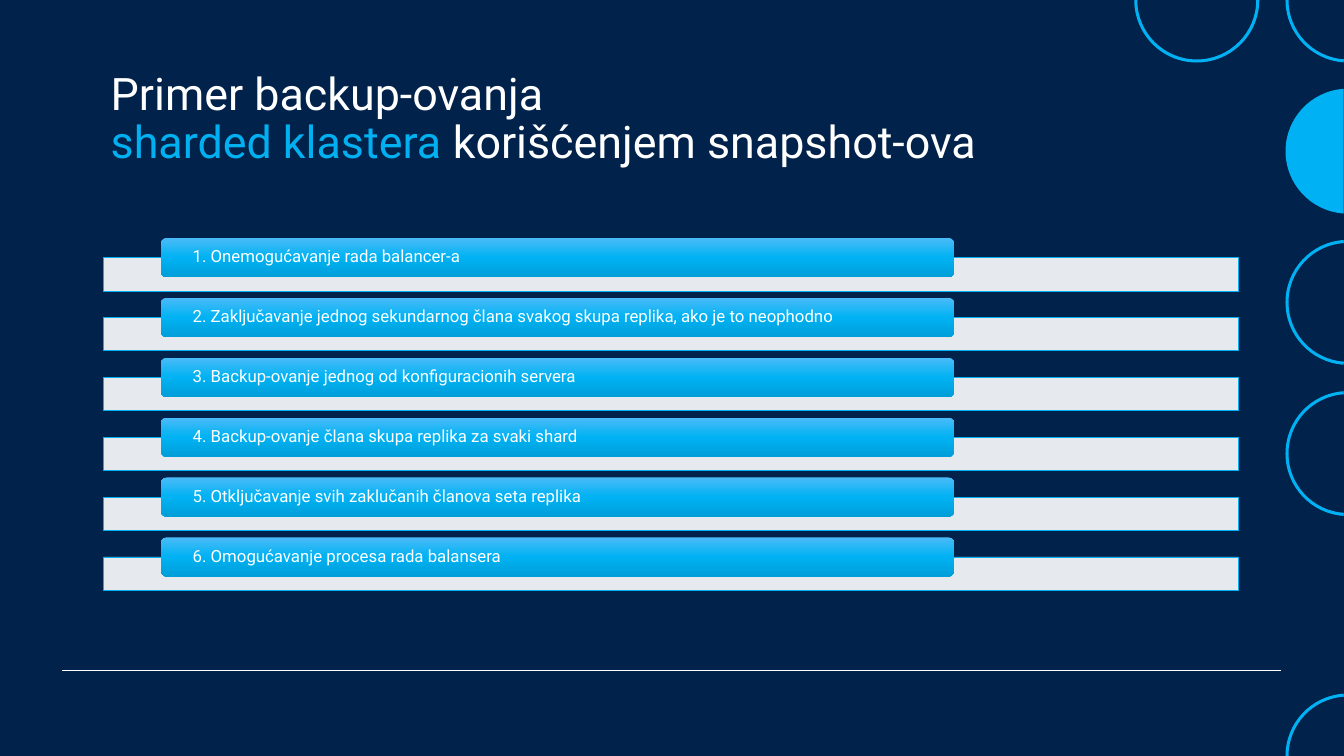
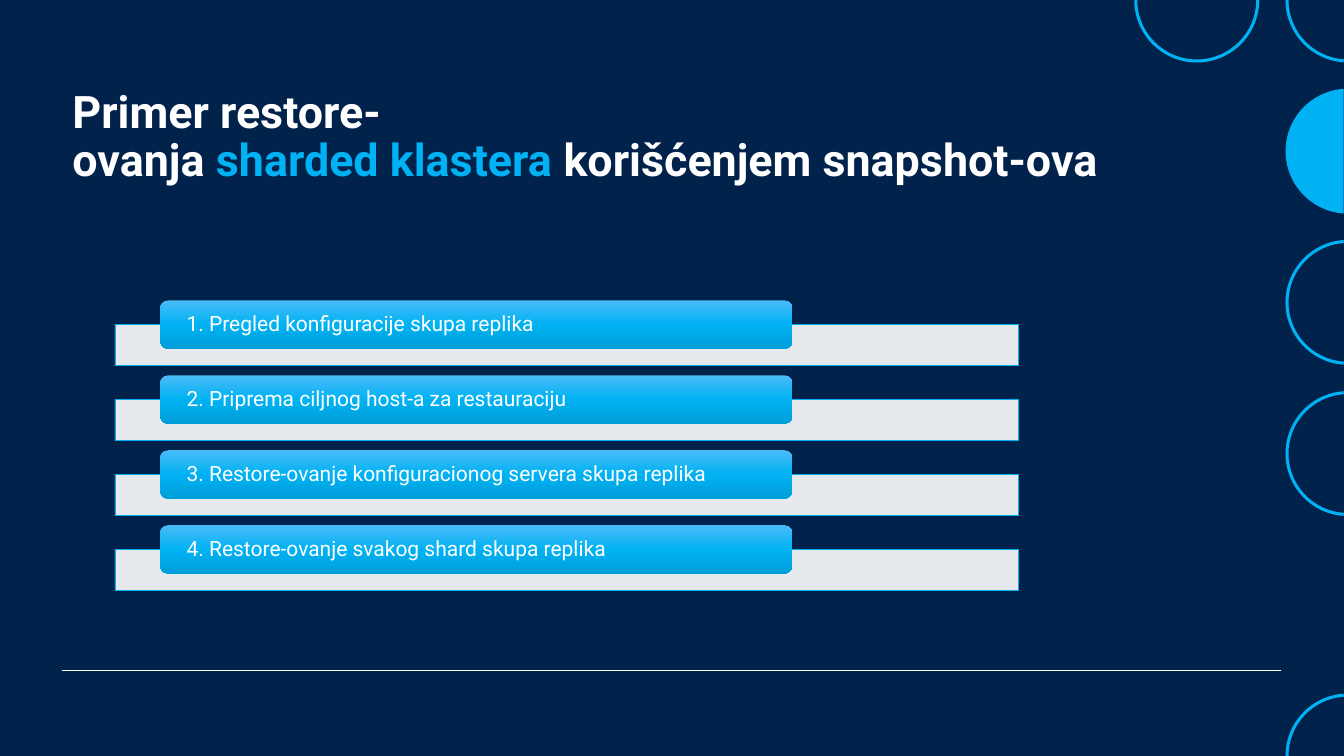
from dataclasses import dataclass
from math import ceil, cos, radians, sin, tan

from lxml.etree import SubElement as Sub
from pptx import Presentation
from pptx.dml.color import RGBColor as RGB
from pptx.enum.shapes import MSO_CONNECTOR as Link, MSO_SHAPE as Kind
from pptx.enum.text import MSO_ANCHOR as Anchor, PP_ALIGN as Align
from pptx.oxml.ns import qn
from pptx.util import Inches as In, Pt


@dataclass(frozen=True)
class Theme:
    navy: str = "00224B"
    white: str = "FFFFFF"
    cyan: str = "00B2F3"
    sky: str = "00B0F0"
    fade: tuple = ((0, "4BBBF8"), (50, "00B2F3"), (100, "009ED8"))
    font: str = "Roboto"
    head: int = 32
    rule: float = 1
    edge: float = 0.5


T = Theme()
WIDE, HIGH = 13.33, 7.5
NBSP = chr(160)  # keeps the words of a title line together

# Content: title runs are (text, colour); the list area is left, top, width, last top
SLIDES = [
    dict(
        title=[("Primer backup-ovanja\v", T.white), ("sharded klastera ", T.sky),
               ("korišćenjem snapshot-ova", T.white)],
        box=(1, 0.66, 11.4, 1.39), bold=False,
        steps=["Onemogućavanje rada balancer-a",
               "Zaključavanje jednog sekundarnog člana svakog skupa replika, ako je to neophodno",
               "Backup-ovanje jednog od konfiguracionih servera",
               "Backup-ovanje člana skupa replika za svaki shard",
               "Otključavanje svih zaklučanih članova seta replika",
               "Omogućavanje procesa rada balansera"],
        area=(1.03, 2.36, 11.25, 5.33), tab=0.39, size=12),
    dict(
        title=[("Primer restore-ovanja ", T.white), ("sharded klastera ", T.cyan),
               ("korišćenjem snapshot-ova", T.white)],
        box=(0.62, 0.84, 12.14, 1.39), bold=True,
        steps=["Pregled konfiguracije skupa replika",
               "Priprema ciljnog host-a za restauraciju",
               "Restore-ovanje konfiguracionog servera skupa replika",
               "Restore-ovanje svakog shard skupa replika"],
        area=(1.14, 2.98, 8.96, 5.21), tab=0.48, size=15),
]

# Circles cut by the slide edge: centre x, centre y, from angle, to angle, filled
CIRCLES = [
    (13.37, 1.5, 94, 266, True),
    (11.87, 0, 0, 180, False),
    (13.37, 0, 94, 180, False),
    (13.37, 3, 94, 266, False),
    (13.37, 4.5, 94, 266, False),
    (13.37, 7.5, 180, 266, False),
]
OUTER, INNER = 0.62, 0.59


def rgb(code):
    return RGB.from_string(code)


def style(para, size, bold=False):
    para.line_spacing = 0.9
    font = para.font
    font.name, font.size, font.bold = T.font, Pt(size), bold
    font.color.rgb = rgb(T.white)


def block(slide, kind, *box):
    shape = slide.shapes.add_shape(kind, *map(In, box))
    shape.shadow.inherit = False
    return shape


def blend(shape):
    """Fill from top to bottom with the theme's three stops."""
    shape.fill.gradient()
    shape.fill.gradient_angle = 270
    stops = shape.fill._fill._gradFill.find(qn("a:gsLst"))
    for old in list(stops):
        stops.remove(old)
    for pos, code in T.fade:
        stop = Sub(stops, qn("a:gs"), pos=str(pos * 1000))
        Sub(stop, qn("a:srgbClr"), val=code)


def add_title(slide, runs, box, bold):
    frame = slide.shapes.add_textbox(*map(In, box)).text_frame
    frame.word_wrap = True
    para = frame.paragraphs[0]
    style(para, T.head, bold)
    for text, code in runs:
        first, *rest = text.replace(" ", NBSP).split("\v")
        run = para.add_run()
        run.text = first
        run.font.color.rgb = rgb(code)
        if rest:
            para.add_line_break()


def add_steps(slide, steps, area, tab, size):
    left, top, width, last = area
    pitch = (last - top) / (len(steps) - 1)
    for i, text in enumerate(steps):
        y = top + i * pitch
        # Pale bar, starting at the middle of the tab
        bar = block(slide, Kind.RECTANGLE, left, y + tab / 2, width, tab * 0.85)
        bar.fill.solid()
        bar.fill.fore_color.rgb = rgb(T.white)
        clr = bar.fill._fill._solidFill.find(qn("a:srgbClr"))
        Sub(clr, qn("a:alpha"), val="90000")
        bar.line.color.rgb = rgb(T.cyan)
        bar.line.width = Pt(T.edge)
        # Blue tab with the step
        pill = block(slide, Kind.ROUNDED_RECTANGLE,
                     left + width * 0.05, y, width * 0.7, tab)
        blend(pill)
        pill.line.fill.background()
        frame = pill.text_frame
        frame.word_wrap = True
        frame.vertical_anchor = Anchor.MIDDLE
        frame.margin_left = frame.margin_right = In(width / 37.5)
        frame.margin_top = frame.margin_bottom = 0
        para = frame.paragraphs[0]
        para.text = f"{i + 1}. {text}"
        para.alignment = Align.LEFT
        style(para, size)


def sweep(x, y, size, start, end):
    """First point of an arc, then its cubic curves of at most 90 degrees."""
    count = ceil(abs(end - start) / 90)
    step = radians(end - start) / count
    pull = 4 / 3 * tan(step / 4)

    def spot(turn, lean=0):
        return (In(x + size * (cos(turn) - lean * sin(turn))),
                In(y + size * (sin(turn) + lean * cos(turn))))

    turns = [radians(start) + i * step for i in range(count + 1)]
    curves = [(spot(a, pull), spot(b, -pull), spot(b))
              for a, b in zip(turns, turns[1:])]
    return spot(turns[0]), curves


def add_circle(slide, x, y, start, end, full):
    first, parts = sweep(x, y, OUTER, start, end)
    if not full:
        inner, back = sweep(x, y, INNER, end, start)
        parts = parts + [(inner,)] + back
    pen = slide.shapes.build_freeform(*first)
    pen.add_line_segments([part[-1] for part in parts], close=True)
    shape = pen.convert_to_shape()
    shape.shadow.inherit = False
    shape.fill.solid()
    shape.fill.fore_color.rgb = rgb(T.cyan)
    shape.line.fill.background()
    # Bend the straight sides that belong to an arc
    sides = list(shape._element.iter(qn("a:lnTo")))
    for side, part in zip(sides, parts):
        if len(part) == 3:
            side.tag = qn("a:cubicBezTo")
            for old in list(side):
                side.remove(old)
            for px, py in part:
                Sub(side, qn("a:pt"), x=str(px - shape.left), y=str(py - shape.top))


def add_decor(slide):
    for circle in CIRCLES:
        add_circle(slide, *circle)
    # Footer rule
    rule = slide.shapes.add_connector(
        Link.STRAIGHT, In(0.62), In(6.65), In(12.71), In(6.65))
    rule.line.color.rgb = rgb(T.white)
    rule.line.width = Pt(T.rule)
    Sub(rule._element.spPr, qn("a:effectLst"))


def main():
    deck = Presentation()
    deck.slide_width, deck.slide_height = In(WIDE), In(HIGH)
    back = deck.slide_master.background.fill
    back.solid()
    back.fore_color.rgb = rgb(T.navy)
    for data in SLIDES:
        slide = deck.slides.add_slide(deck.slide_layouts[6])
        add_title(slide, data["title"], data["box"], data["bold"])
        add_steps(slide, data["steps"], data["area"], data["tab"], data["size"])
        add_decor(slide)
    deck.save("out.pptx")


if __name__ == "__main__":
    main()
